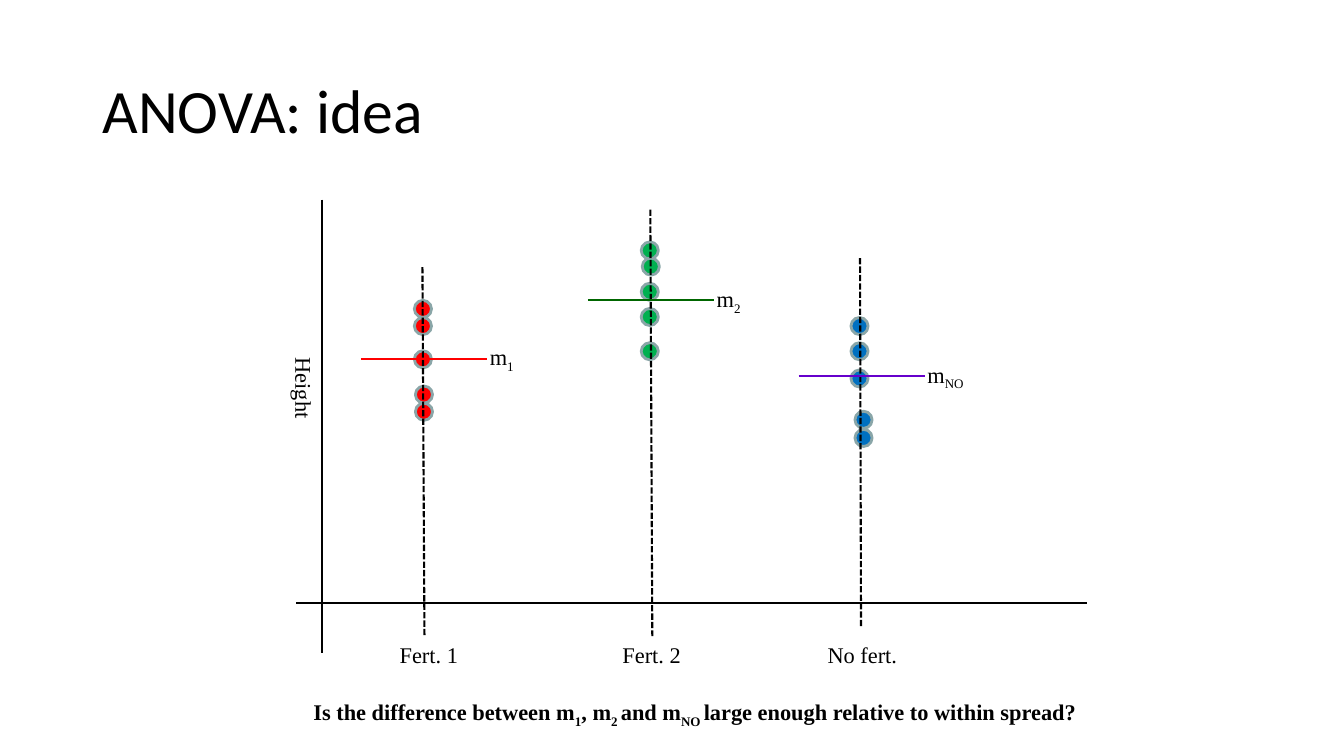
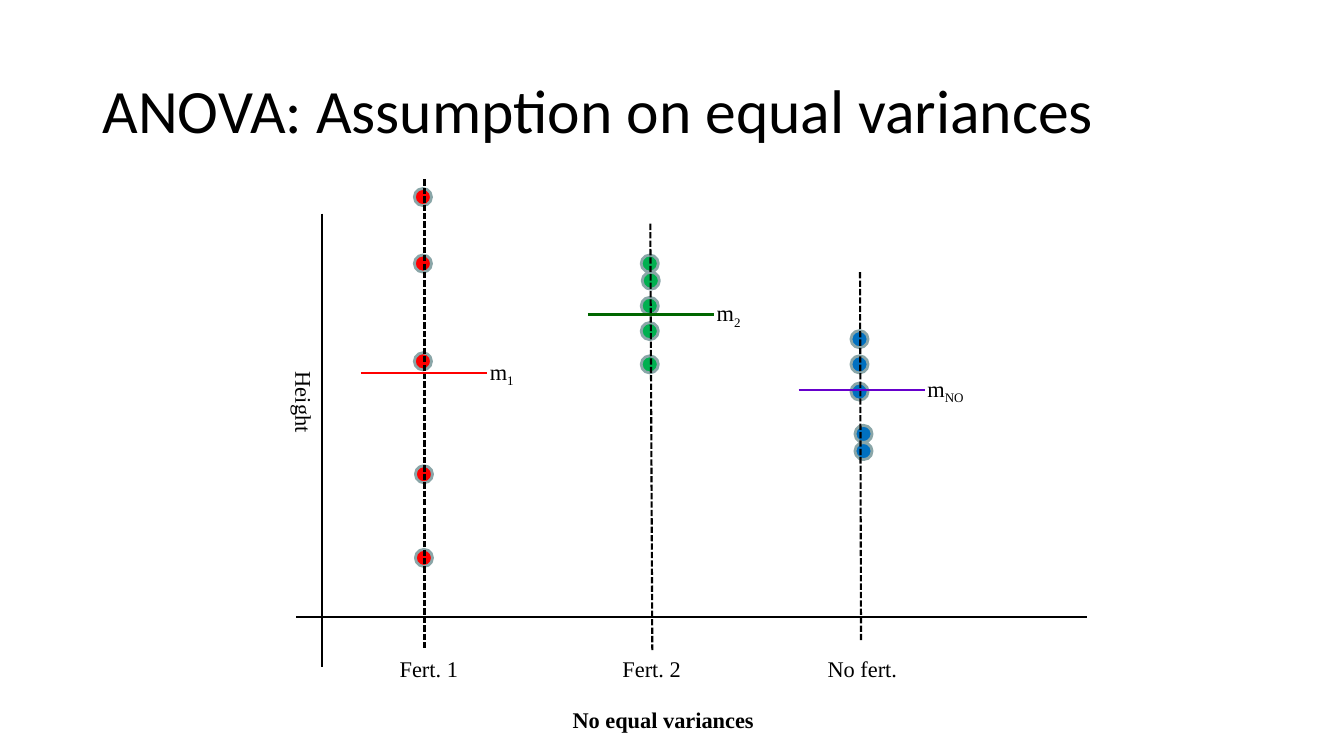
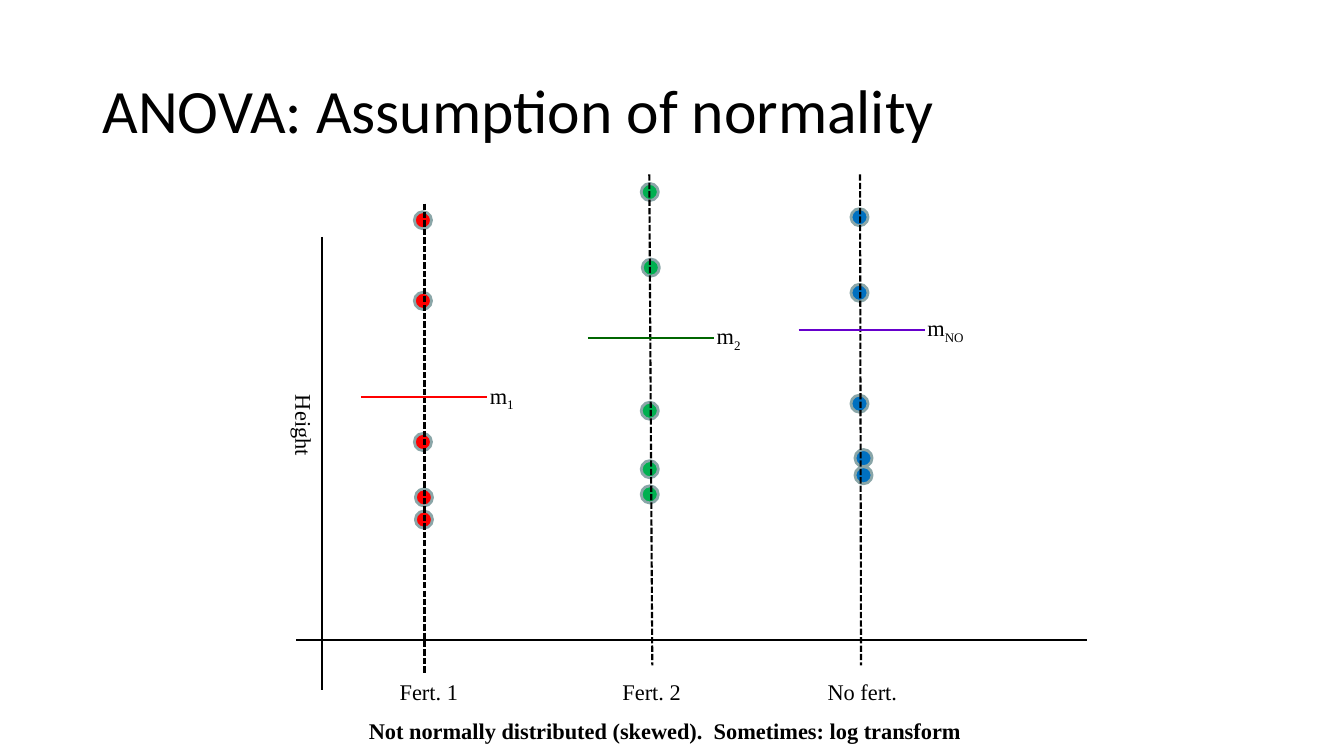
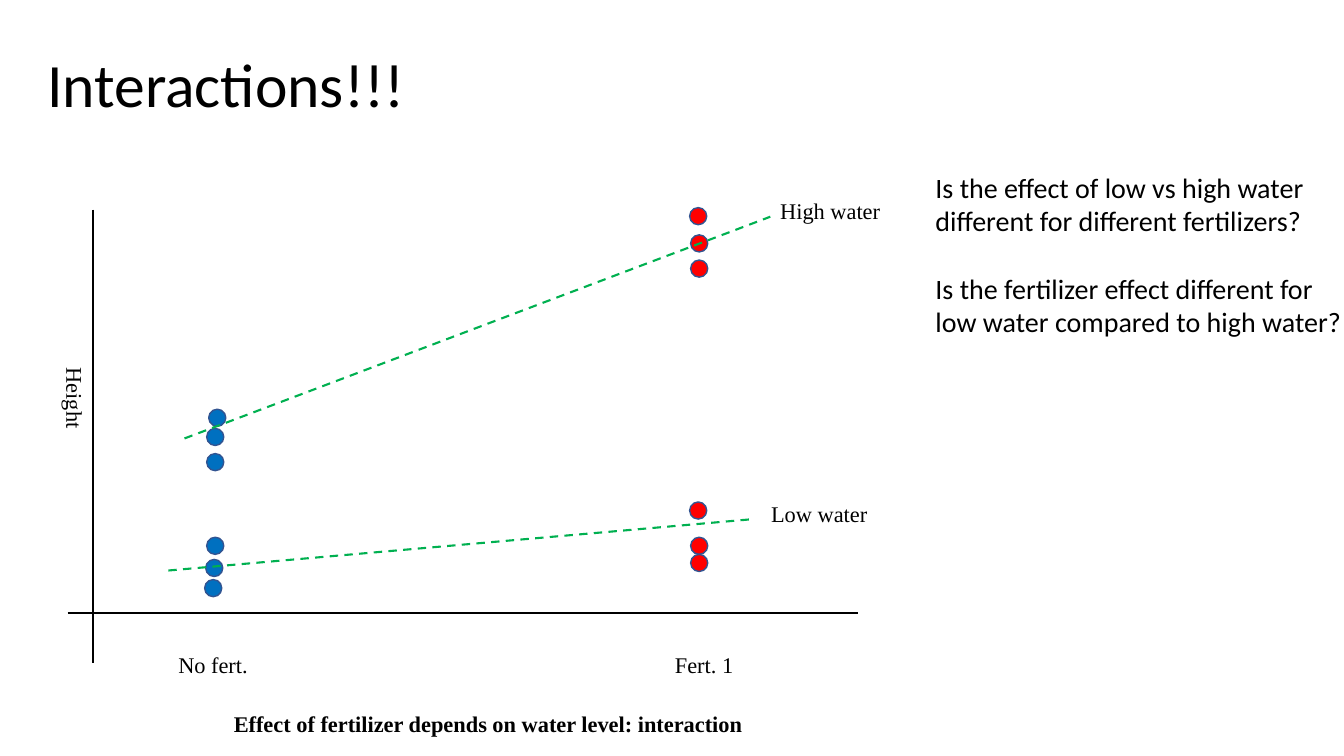
from dataclasses import dataclass

from lxml.etree import SubElement
from pptx import Presentation
from pptx.dml.color import RGBColor
from pptx.enum.dml import MSO_LINE
from pptx.enum.shapes import MSO_CONNECTOR, MSO_SHAPE
from pptx.enum.text import MSO_ANCHOR, MSO_AUTO_SIZE
from pptx.oxml.ns import qn
from pptx.util import Inches, Pt

# Shared style
SANS, SERIF = "Calibri", "Times New Roman"
BLACK, RED, GREEN, BLUE = "000000", "FF0000", "00B050", "0070C0"
DARK_GREEN, PURPLE = "006600", "6600CC"
GREY_RIM, NAVY_RIM = "8AA6A8", "325491"
DOT_SIZE = 0.17
LABEL_HEIGHT = 0.37
MEAN_LENGTH = 1.25


def color(value):
    return RGBColor.from_string(value)


@dataclass
class Group:
    """One treatment: its dot columns, colours and labels."""
    name: str
    name_left: float
    name_width: float
    fill: str
    dot_lefts: tuple
    dash_foot: float
    mean_color: str
    mean_left: float
    subscript: str
    mean_label_width: float


GROUPS = (
    Group(" Fert. 1", 3.81, 0.85, RED, (4.11, 4.11, 4.11, 4.12, 4.12),
          4.21, RED, 3.58, "1", 0.45),
    Group(" Fert. 2", 6.02, 0.84, GREEN, (6.36, 6.37, 6.36, 6.36, 6.36),
          6.47, DARK_GREEN, 5.83, "2", 0.45),
    Group("No fert.", 8.11, 0.9, BLUE, (8.44, 8.44, 8.44, 8.48, 8.48),
          8.54, PURPLE, 7.92, "NO", 0.6),
)


class Slides:
    def __init__(self):
        self.deck = Presentation()
        self.deck.slide_width = Inches(13.33)
        self.deck.slide_height = Inches(7.5)
        self.page = None

    def new_page(self, title, left=0.92, top=0.4):
        self.page = self.deck.slides.add_slide(self.deck.slide_layouts[6])
        box = self.text(left, top, 11.5, [[title]], 1.45, 44, SANS, wrap=True)
        box.text_frame.vertical_anchor = MSO_ANCHOR.MIDDLE
        box.text_frame.paragraphs[0].line_spacing = 0.9

    def text(self, left, top, width, lines, height=LABEL_HEIGHT, size=16,
             font=SERIF, bold=False, wrap=False):
        """Each line is a list of spans; every second span is a subscript."""
        box = self.page.shapes.add_textbox(
            Inches(left), Inches(top), Inches(width), Inches(height))
        frame = box.text_frame
        frame.word_wrap = wrap
        frame.auto_size = MSO_AUTO_SIZE.NONE if wrap else MSO_AUTO_SIZE.SHAPE_TO_FIT_TEXT
        for index, line in enumerate(lines):
            para = frame.add_paragraph() if index else frame.paragraphs[0]
            for position, words in enumerate(line):
                span = para.add_run()
                span.text = words
                span.font.name = font
                span.font.size = Pt(size)
                span.font.bold = bold
                span.font.color.rgb = color(BLACK)
                if position % 2:
                    span._r.get_or_add_rPr().set("baseline", "-25000")
        return box

    def caption(self, left, top, width, spans):
        self.text(left, top, width, [spans], bold=True)

    def line(self, start, end, stroke=BLACK, dash=None):
        line = self.page.shapes.add_connector(
            MSO_CONNECTOR.STRAIGHT, *(Inches(value) for value in (*start, *end)))
        line.line.color.rgb = color(stroke)
        line.line.width = Pt(1.5)
        if dash:
            line.line.dash_style = dash
        SubElement(line.element.spPr, qn("a:effectLst"))

    def dots(self, places, fill, rim, rim_width):
        for left, top in places:
            dot = self.page.shapes.add_shape(
                MSO_SHAPE.OVAL, Inches(left), Inches(top),
                Inches(DOT_SIZE), Inches(DOT_SIZE))
            dot.shadow.inherit = False
            dot.fill.solid()
            dot.fill.fore_color.rgb = color(fill)
            dot.line.color.rgb = color(rim)
            dot.line.width = Pt(rim_width)

    def axes(self, left, top):
        self.line((left, top), (left, top + 4.5))
        self.line((left - 0.25, top + 4), (left + 7.59, top + 4))
        label = self.text(left - 0.58, top + 1.69, 0.81, [["Height"]])
        label.rotation = 90

    def group(self, group, axis_top, dot_tops, dash_start, dash_length, mean):
        self.dots(zip(group.dot_lefts, dot_tops), group.fill, GREY_RIM, 2)
        self.line(dash_start, (group.dash_foot, axis_top + dash_length),
                  dash=MSO_LINE.SQUARE_DOT)
        self.text(group.name_left, axis_top + 4.33, group.name_width, [[group.name]])
        mean_right = group.mean_left + MEAN_LENGTH
        self.line((group.mean_left, mean), (mean_right, mean), group.mean_color)
        self.text(mean_right - 0.07, mean - 0.2, group.mean_label_width,
                  [["m", group.subscript]])

    def anova(self, title, axis_top, samples, caption):
        self.new_page(title)
        self.axes(3.19, axis_top)
        for group, sample in zip(GROUPS, samples):
            self.group(group, axis_top, *sample)
        self.caption(*caption)


def main():
    slides = Slides()

    # Each sample: dot tops, start of the dashed line, its foot below the axis top, mean
    slides.anova("ANOVA: idea", 1.98, (
        ((2.98, 3.15, 3.48, 3.83, 4), (4.19, 2.65), 4.33, 3.56),
        ((2.4, 2.56, 2.81, 3.06, 3.4), (6.45, 2.08), 4.33, 2.98),
        ((3.15, 3.4, 3.67, 4.08, 4.26), (8.53, 2.56), 4.25, 3.73),
    ), (3.01, 6.88, 7.99, [
        "Is the difference between m", "1", ", m", "2 ", "and m", "NO ",
        "large enough relative to within spread?"]))

    slides.anova("ANOVA: Assumption on equal variances", 2.12, (
        ((1.87, 2.53, 3.5, 4.62, 5.45), (4.21, 1.78), 4.33, 3.7),
        ((2.53, 2.7, 2.95, 3.2, 3.53), (6.45, 2.22), 4.33, 3.12),
        ((3.28, 3.53, 3.8, 4.22, 4.39), (8.53, 2.7), 4.25, 3.87),
    ), (5.58, 6.96, 2.02, ["No equal variances"]))

    slides.anova("ANOVA: Assumption of normality", 2.35, (
        ((2.1, 2.9, 4.3, 4.85, 5.07), (4.21, 2.02), 4.33, 3.94),
        ((1.82, 2.57, 3.99, 4.57, 4.82), (6.44, 1.73), 4.25, 3.35),
        ((2.07, 2.82, 3.92, 4.46, 4.63), (8.53, 1.73), 4.25, 3.27),
    ), (3.56, 7.07, 6.16,
        ["Not normally distributed (skewed).  Sometimes: log transform"]))

    # Interactions: two water levels across two fertilizers
    slides.new_page("Interactions!!!", 0.37, 0.14)
    slides.axes(0.92, 2.08)
    slides.dots(((2.07, 4.06), (2.05, 4.25), (2.05, 4.5),
                 (2.05, 5.33), (2.04, 5.55), (2.03, 5.75)), BLUE, NAVY_RIM, 1)
    slides.dots(((6.84, 2.06), (6.85, 2.33), (6.85, 2.58),
                 (6.84, 4.98), (6.85, 5.33), (6.85, 5.5)), RED, NAVY_RIM, 1)
    slides.line((1.83, 4.35), (7.64, 2.15), GREEN, MSO_LINE.DASH)
    slides.line((1.67, 5.66), (7.47, 5.15), GREEN, MSO_LINE.DASH)
    for left, top, width, label in (
            (1.67, 6.41, 0.9, "No fert."), (6.54, 6.41, 0.85, " Fert. 1"),
            (7.64, 1.91, 1.21, "High water"), (7.55, 4.91, 1.17, "Low water")):
        slides.text(left, top, width, [[label]])
    slides.caption(2.22, 7, 5.32,
                   ["Effect of fertilizer depends on water level: interaction"])

    # Questions beside the plot
    questions = slides.text(9.18, 1.64, 4.26, [
        ["Is the effect of low vs high water"],
        ["different for different fertilizers?"],
        ["Is the fertilizer effect different for"],
        ["low water compared to high water?"]], 1.78, 20, SANS)
    questions.text_frame.paragraphs[2].space_before = Pt(24)

    slides.deck.save("out.pptx")


if __name__ == "__main__":
    main()
